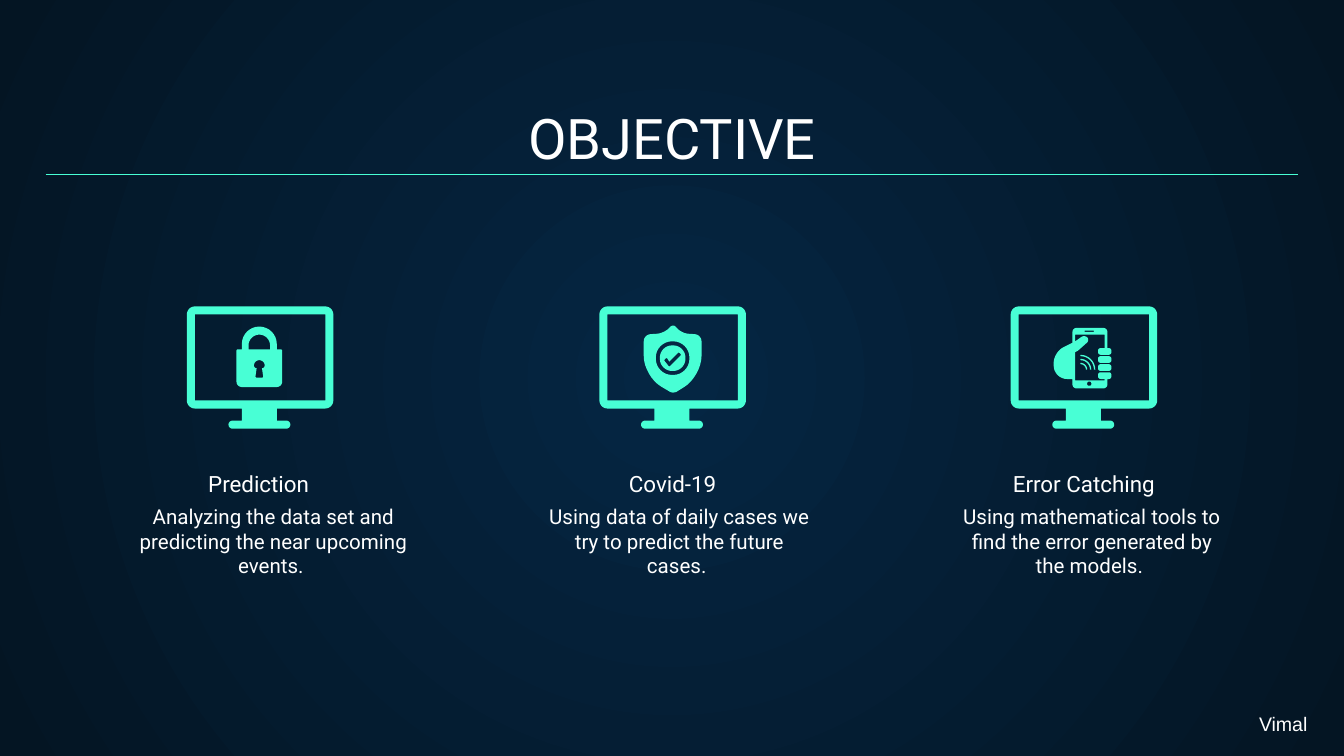
from pptx import Presentation
from pptx.dml.color import RGBColor
from pptx.enum.shapes import MSO_CONNECTOR as Connector
from pptx.enum.text import MSO_ANCHOR as Anchor, PP_ALIGN as Align
from pptx.oxml.ns import qn
from pptx.util import Inches, Pt
from lxml.etree import SubElement

COLORS = {"accent": "48FFD5", "text": "FFFFFF", "center": "052643", "edge": "041523"}


def rounded(corners, steps=8):
    """Return the points of a polygon whose (x, y, radius) corners are rounded."""
    points = []
    for i, (x, y, radius) in enumerate(corners):
        if not radius:
            points.append((x, y))
            continue
        ends = []
        for nx, ny, _ in (corners[i - 1], corners[(i + 1) % len(corners)]):
            share = radius / ((nx - x) ** 2 + (ny - y) ** 2) ** 0.5
            ends.append(((nx - x) * share, (ny - y) * share))
        (ax, ay), (bx, by) = ends
        for step in range(steps + 1):
            t = step / steps
            a = (1 - t) ** 3 + 1.35 * t * (1 - t) ** 2
            b = t ** 3 + 1.35 * t ** 2 * (1 - t)
            points.append((x + a * ax + b * bx, y + a * ay + b * by))
    return points


def rect(left, top, right, bottom, radius=0):
    """Return the corners of a rectangle."""
    return [(left, top, radius), (right, top, radius),
            (right, bottom, radius), (left, bottom, radius)]


def monitor(left, top):
    """Return the contours of a monitor on its stand."""
    frame = [(0, 0, .06), (1.09, 0, .06), (1.09, .76, .06), (.67, .76, 0),
             (.67, .85, 0), (.77, .85, .03), (.77, .91, .03), (.31, .91, .03),
             (.31, .85, .03), (.41, .85, 0), (.41, .76, 0), (0, .76, .06)]
    return [[(left + x, top + y, radius) for x, y, radius in contour]
            for contour in (frame, rect(.06, .06, 1.03, .7))]


def signal(x, y, radius, width=.01):
    """Return the corners of a quarter ring."""
    inner = radius - width
    return [(x, y - radius, 0), (x + radius, y - radius, radius), (x + radius, y, 0),
            (x + inner, y, 0), (x + inner, y - inner, inner), (x, y - inner, 0)]


LOCK = [
    [(1.8, 2.6, 0), (1.8, 2.43, .13), (2.06, 2.43, .13), (2.06, 2.6, 0),
     (2.1, 2.6, .01), (2.1, 2.88, .04), (1.76, 2.88, .04), (1.76, 2.6, .01)],
    [(1.85, 2.6, 0), (1.85, 2.49, .08), (2.01, 2.49, .08), (2.01, 2.6, 0)],
    [(1.89, 2.68, .04), (1.97, 2.68, .04), (1.97, 2.74, .02), (1.95, 2.74, 0),
     (1.96, 2.81, .01), (1.9, 2.81, .01), (1.91, 2.74, 0), (1.89, 2.74, .02)],
]
SHIELD = [
    [(5.01, 2.41, .03), (5.07, 2.48, .05), (5.22, 2.49, .05), (5.22, 2.8, .15),
     (5.01, 2.93, .03), (4.79, 2.8, .15), (4.79, 2.49, .05), (4.94, 2.48, .05)],
    rect(4.88, 2.54, 5.13, 2.79, .12),
]
CHECK = [
    rect(4.91, 2.57, 5.1, 2.76, .09),
    [(4.94, 2.68, .01), (4.96, 2.66, .01), (4.98, 2.69, 0), (5.05, 2.62, .01),
     (5.07, 2.64, .01), (4.98, 2.73, .01)],
]
PHONE = [
    [(7.98, 2.44, .03), (8.24, 2.44, .03), (8.24, 2.59, 0), (8.22, 2.59, 0),
     (8.22, 2.49, 0), (8, 2.49, 0), (8, 2.54, 0), (8.07, 2.49, .03),
     (8.11, 2.53, .03), (8.02, 2.61, 0), (8, 2.62, 0), (8, 2.83, 0),
     (8.22, 2.83, 0), (8.22, 2.82, 0), (8.24, 2.82, 0), (8.24, 2.89, .03),
     (7.98, 2.89, .03), (7.98, 2.82, 0), (7.84, 2.82, .1), (7.84, 2.62, .08),
     (7.98, 2.55, 0)],
    rect(8.07, 2.46, 8.14, 2.47),
    rect(8.09, 2.84, 8.12, 2.87, .01),
    *[rect(8.17, 2.59 + .06 * i, 8.27, 2.64 + .06 * i, .02) for i in range(4)],
    *[signal(8.04, 2.75, radius) for radius in (.05, .08, .11)],
]


class Slide:
    """Holds the style and the current page."""

    def __init__(self, page, font="Roboto"):
        self.page, self.font = page, font

    def backdrop(self):
        fill = self.page.background.fill
        fill.gradient()
        for stop, name in zip(fill.gradient_stops, ("center", "edge")):
            stop.color.rgb = RGBColor.from_string(COLORS[name])
        gradient = next(self.page.element.iter(qn("a:gradFill")))
        gradient.remove(gradient.find(qn("a:lin")))
        radial = SubElement(gradient, qn("a:path"), path="circle")
        SubElement(radial, qn("a:fillToRect"), dict.fromkeys("ltrb", "50000"))

    def text(self, text, left, top, width, height, size=11, anchor=Anchor.TOP,
             align=Align.CENTER, font=None, inset=.1):
        box = self.page.shapes.add_textbox(*map(Inches, (left, top, width, height)))
        frame = box.text_frame
        frame.word_wrap, frame.vertical_anchor = True, anchor
        frame.margin_top = frame.margin_bottom = Inches(inset)
        para = frame.paragraphs[0]
        para.alignment = align
        span = para.add_run()
        span.text = text
        span.font.size, span.font.name = Pt(size), font or self.font
        span.font.color.rgb = RGBColor.from_string(COLORS["text"])

    def icon(self, contours):
        outlines = [[(Inches(x), Inches(y)) for x, y in rounded(corners)]
                    for corners in contours]
        builder = self.page.shapes.build_freeform(*outlines[0][0])
        for i, points in enumerate(outlines):
            if i:
                builder.move_to(*points[0])
            builder.add_line_segments(points[1:], close=True)
        shape = builder.convert_to_shape()
        shape.shadow.inherit = False
        shape.fill.solid()
        shape.fill.fore_color.rgb = RGBColor.from_string(COLORS["accent"])
        shape.line.fill.background()

    def rule(self, left, right, top):
        line = self.page.shapes.add_connector(
            Connector.STRAIGHT, *map(Inches, (left, top, right, top)))
        line.line.color.rgb = RGBColor.from_string(COLORS["accent"])
        line.line.width = Pt(.75)
        SubElement(line.element.spPr, qn("a:effectLst"))


def main():
    """Build the objective slide."""
    deck = Presentation()
    deck.slide_width, deck.slide_height = Inches(10), Inches(10) * 9 // 16
    slide = Slide(deck.slides.add_slide(deck.slide_layouts[6]))
    slide.backdrop()
    slide.text("OBJECTIVE", .34, .71, 9.32, .66, size=30, anchor=Anchor.BOTTOM)
    slide.rule(.34, 9.66, 1.3)
    columns = [
        ("Prediction", .79, "Analyzing the data set and predicting the near upcoming events. ",
         .9, 2.27, 1.39, [LOCK]),
        ("Covid-19", 3.87, "Using data of daily cases we try to predict the future cases. ",
         3.97, 2.17, 4.46, [SHIELD, CHECK]),
        ("Error Catching", 6.93, "Using mathematical tools to find the error generated by the models. ",
         7.04, 2.17, 7.52, [PHONE]),
    ]
    for heading, heading_left, body, body_left, body_width, screen_left, icons in columns:
        slide.text(heading, heading_left, 3.39, 2.27, .41, size=12, anchor=Anchor.BOTTOM)
        slide.text(body, body_left, 3.65, body_width, .84)
        for contours in (monitor(screen_left, 2.28), *icons):
            slide.icon(contours)
    slide.text("Vimal", 9.27, 5.25, .77, .29, size=10.5, align=Align.LEFT,
               font="Arial", inset=.05)
    deck.save("out.pptx")


if __name__ == "__main__":
    main()
